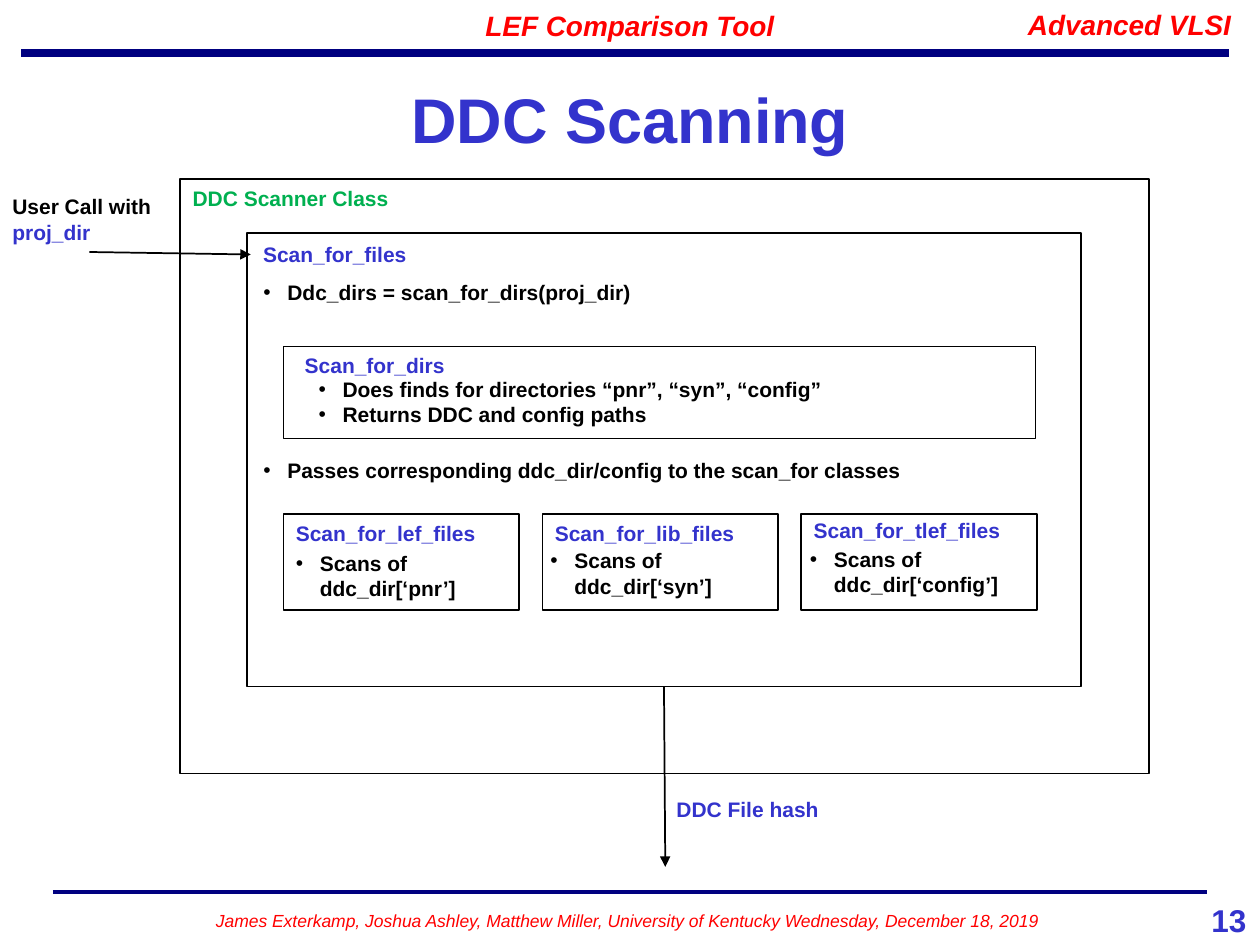
from lxml import etree
from pptx import Presentation
from pptx.dml.color import RGBColor
from pptx.enum.shapes import MSO_CONNECTOR, MSO_SHAPE
from pptx.enum.text import MSO_ANCHOR, MSO_AUTO_SIZE, PP_ALIGN
from pptx.oxml.ns import qn
from pptx.util import Inches, Pt

BLUE, RED, GREEN, BLACK, NAVY = "3333CC", "FF0000", "00B050", "000000", "000080"


def color(hex_string):
    """Turn a hex string into a colour."""
    return RGBColor.from_string(hex_string)


def place(shape, left, top, width, height):
    """Move and size a shape, in inches."""
    shape.left, shape.top = Inches(left), Inches(top)
    shape.width, shape.height = Inches(width), Inches(height)


class Slide:
    """Holds the slide and its style."""

    font = "Arial"
    size = 12
    indent = 0.19

    def __init__(self, slide):
        """Keep the slide to draw on."""
        self.slide = slide
        self.shapes = slide.shapes

    def style(self, run, hex_color, size=size, bold=True, italic=False):
        """Format one run."""
        run.font.name, run.font.size = self.font, Pt(size)
        run.font.bold, run.font.italic = bold, italic
        run.font.color.rgb = color(hex_color)

    def title(self, text, box):
        """Fill the title placeholder."""
        title = self.shapes.title
        place(title, *box)
        title.text_frame.vertical_anchor = MSO_ANCHOR.MIDDLE
        paragraph = title.text_frame.paragraphs[0]
        paragraph.alignment = PP_ALIGN.CENTER
        run = paragraph.add_run()
        run.text = text
        self.style(run, BLUE, 36)

    def text(self, box, *runs, align=PP_ALIGN.LEFT, **style):
        """Add a text box from (text, colour) pairs."""
        shape = self.shapes.add_textbox(*map(Inches, box))
        shape.text_frame.word_wrap = True
        paragraph = shape.text_frame.paragraphs[0]
        paragraph.alignment = align
        for words, hex_color in runs:
            run = paragraph.add_run()
            run.text = words
            self.style(run, hex_color, **style)

    def bullets(self, box, items, gap=0, shape=None):
        """Write a bulleted list in a placeholder or a new text box."""
        shape = shape or self.shapes.add_textbox(*map(Inches, box))
        place(shape, *box)
        frame = shape.text_frame
        frame.word_wrap, frame.auto_size = True, MSO_AUTO_SIZE.NONE
        for i, item in enumerate(items):
            paragraph = frame.add_paragraph() if i else frame.paragraphs[0]
            paragraph.space_before = Pt(gap if i else 0)
            properties = paragraph._p.get_or_add_pPr()
            properties.set("marL", str(Inches(self.indent)))
            properties.set("indent", str(-Inches(self.indent)))
            font = etree.SubElement(properties, qn("a:buFont"))
            font.set("typeface", self.font)
            etree.SubElement(properties, qn("a:buChar")).set("char", "•")
            run = paragraph.add_run()
            run.text = item
            self.style(run, BLACK)

    def frame(self, *box):
        """Add an unfilled outlined rectangle."""
        shape = self.shapes.add_shape(MSO_SHAPE.RECTANGLE, *map(Inches, box))
        shape.shadow.inherit = False
        shape.fill.background()
        shape.line.color.rgb, shape.line.width = color(BLACK), Pt(1)

    def line(self, start, end, hex_color=BLACK, width=1, arrow=False):
        """Add a straight line, with an arrowhead at its end if asked."""
        line = self.shapes.add_connector(
            MSO_CONNECTOR.STRAIGHT, *map(Inches, (*start, *end)))
        line.line.color.rgb, line.line.width = color(hex_color), Pt(width)
        if arrow:
            outline = line.line._get_or_add_ln()
            etree.SubElement(outline, qn("a:tailEnd")).set("type", "triangle")
        etree.SubElement(line._element.spPr, qn("a:effectLst"))


prs = Presentation()
prs.slide_width, prs.slide_height = Inches(10), Inches(7.5)
page = Slide(prs.slides.add_slide(prs.slide_layouts[1]))

# Header and footer
page.line((0.17, 0.42), (9.75, 0.42), NAVY, 4.5)
page.line((0.42, 7.08), (9.58, 7.08), NAVY, 2.25)
page.text((7.93, 0.01, 1.94, 0.37), ("Advanced VLSI", RED),
          align=PP_ALIGN.RIGHT, size=16, italic=True)
page.text((0.42, 7.17, 9.11, 0.27),
          ("James Exterkamp, Joshua Ashley, Matthew Miller, "
           "University of Kentucky Wednesday, December 18, 2019", RED),
          align=PP_ALIGN.CENTER, size=10, bold=False, italic=True)
page.text((9, 7.1, 0.99, 0.4), ("13", BLUE), align=PP_ALIGN.RIGHT, size=18)
page.text((0, 0.02, 10, 0.37), ("LEF Comparison Tool", RED),
          align=PP_ALIGN.CENTER, size=16, italic=True)
page.title("DDC Scanning", (0.75, 0.52, 8.5, 0.83))

# Scanner class and its main method
page.frame(1.43, 1.42, 7.69, 4.72)
page.text((1.43, 1.42, 2.11, 0.3), ("DDC Scanner Class", GREEN))
page.frame(1.96, 1.85, 6.62, 3.6)
page.text((1.99, 1.87, 2.4, 0.3), ("Scan_for_files", BLUE))
page.bullets((1.99, 2.17, 6.58, 2.73),
             ["Ddc_dirs = scan_for_dirs(proj_dir)",
              "Passes corresponding ddc_dir/config to the scan_for classes"],
             gap=87, shape=page.slide.placeholders[1])

# Directory scan
page.frame(2.25, 2.75, 5.97, 0.73)
page.text((2.32, 2.75, 1.88, 0.3), ("Scan_for_dirs", BLUE))
page.bullets((2.43, 2.94, 5.62, 0.71),
             ["Does finds for directories “pnr”, “syn”, “config”",
              "Returns DDC and config paths"])

# File scans: kind, directory, heading top, list left and top
scans = [("lef", "pnr", 4.08, 2.25, 4.32),
         ("lib", "syn", 4.08, 4.27, 4.3),
         ("tlef", "config", 4.06, 6.33, 4.29)]
for i, (kind, directory, heading_top, list_left, list_top) in enumerate(scans):
    left = 2.25 + i * 2.055
    page.frame(left, 4.08, 1.87, 0.76)
    page.text((left, heading_top, 1.87, 0.3), (f"Scan_for_{kind}_files", BLUE))
    page.bullets((list_left, list_top, 2.05, 0.5),
                 [f"Scans of ddc_dir[‘{directory}’]"])

# Input and output
page.text((0, 1.49, 1.43, 0.5), ("User Call with ", BLACK), ("proj_dir", BLUE))
page.line((0.71, 2), (1.99, 2.02), arrow=True)
page.line((5.27, 5.45), (5.28, 6.88), arrow=True)
page.text((5.27, 6.27, 2.25, 0.3), ("DDC File hash", BLUE))

prs.save("out.pptx")
